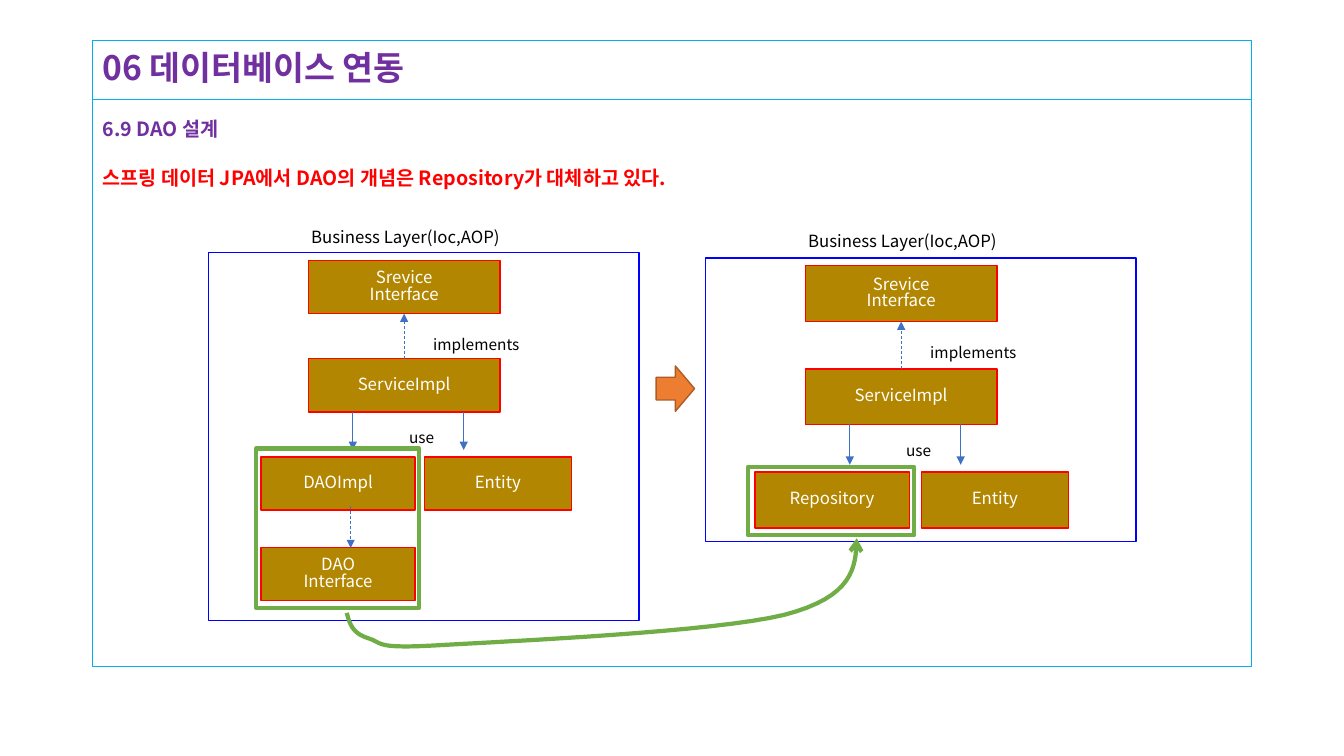
from pptx import Presentation
from pptx.dml.color import RGBColor
from pptx.enum.dml import MSO_LINE
from pptx.enum.shapes import MSO_CONNECTOR, MSO_SHAPE
from pptx.enum.text import MSO_ANCHOR, PP_ALIGN
from pptx.oxml.ns import qn
from pptx.util import Pt
from lxml import etree

RECT = MSO_SHAPE.RECTANGLE
ARROW = MSO_SHAPE.RIGHT_ARROW
LINE = MSO_CONNECTOR.STRAIGHT
DASH = MSO_LINE.DASH
MIDDLE = MSO_ANCHOR.MIDDLE
TOP = MSO_ANCHOR.TOP
LEFT = PP_ALIGN.LEFT
CENTER = PP_ALIGN.CENTER

CYAN = RGBColor(0x00, 0xB0, 0xF0)
PURPLE = RGBColor(0x70, 0x30, 0xA0)
RED = RGBColor(0xFF, 0x00, 0x00)
BLUE = RGBColor(0x00, 0x00, 0xFF)
GOLD = RGBColor(0xB2, 0x86, 0x00)
STEEL = RGBColor(0x41, 0x71, 0xC7)
ORANGE = RGBColor(0xED, 0x7D, 0x31)
BROWN = RGBColor(0xAF, 0x5C, 0x24)
GREEN = RGBColor(0x70, 0xAD, 0x47)
WHITE = RGBColor(0xFF, 0xFF, 0xFF)
BLACK = RGBColor(0x00, 0x00, 0x00)
FONT = "Noto Sans CJK KR"

deck = Presentation()
deck.slide_width, deck.slide_height = Pt(960), Pt(540)
slide = deck.slides.add_slide(deck.slide_layouts[6])
shapes = slide.shapes


def draw(x, y, w, h, edge, width, fill=None, kind=RECT):
    shape = shapes.add_shape(kind, Pt(x), Pt(y), Pt(w), Pt(h))
    shape.shadow.inherit = False
    if fill is None:
        shape.fill.background()
    else:
        shape.fill.solid()
        shape.fill.fore_color.rgb = fill
    shape.line.color.rgb = edge
    shape.line.width = Pt(width)
    return shape


def write(shape, lines, size, color, align=LEFT, anchor=TOP, space=1.0, bold=False):
    frame = shape.text_frame
    frame.word_wrap = True
    frame.vertical_anchor = anchor
    frame.text = lines
    for para in frame.paragraphs:
        para.alignment = align
        para.line_spacing = space
        para.font.name = FONT
        para.font.size = Pt(size)
        para.font.color.rgb = color
        para.font.bold = bold


title = draw(66.2, 28.8, 828, 42.5, CYAN, 0.75)
write(title, "06 데이터베이스 연동", 24, PURPLE, anchor=MIDDLE, space=0.9, bold=True)
body = draw(66.2, 71.3, 828, 404.6, CYAN, 0.75)
write(body, "6.9 DAO 설계\n스프링 데이터 JPA에서 DAO의 개념은 Repository가 대체하고 있다.",
      14, PURPLE, space=1.5, bold=True)
note = body.text_frame.paragraphs[1]
note.space_before = Pt(10)
note.font.color.rgb = RED

panels = [
    (504, 184.3, 202.3, 1.05, 35.3, "Repository"),
    (149, 180.5, 262.8, 1, 37.4, "DAOImpl"),
]
arrows = []
for left, top, tall, scale, inset, store in panels:
    draw(left, top, 307.4, tall, BLUE, 1)
    base = top + 5.5
    boxes = []
    for name, dx, row, wide in [
        ("Srevice\nInterface", 71.3, 0, 136.8),
        ("ServiceImpl", 71.3, 1, 136.8),
        (store, inset, 2, 110.2),
        ("Entity", 154.1, 2, 105.1),
    ]:
        box = draw(left + dx, base + 70.2 * row * scale, wide, 38 * scale, RED, 1, GOLD)
        write(box, name, 12, WHITE, CENTER, MIDDLE, 0.82)
        boxes.append(box)
    for name, dx, dy, wide, size in [
        ("Business Layer(Ioc,AOP)", 66.2, -27.4, 206.6, 12),
        ("implements", 153.4, 49.5, 80, 11),
        ("use", 136.1, 115.9, 80, 11),
    ]:
        label = shapes.add_textbox(Pt(left + dx), Pt(base + dy * scale), Pt(wide), Pt(20.6))
        write(label, name, size, BLACK)
    link = shapes.add_connector(LINE, 0, 0, 0, 0)
    link.begin_connect(boxes[1], 0)
    link.end_connect(boxes[0], 2)
    link.line.dash_style = DASH
    arrows.append(link)
    for dx in (103, 182.2):
        x = Pt(left + dx)
        arrows.append(shapes.add_connector(
            LINE, x, Pt(base + 108 * scale), x, Pt(base + 135.4 * scale)))

dao = draw(186.4, 391, 110.2, 38, RED, 1, GOLD)
write(dao, "DAO\nInterface", 12, WHITE, CENTER, MIDDLE, 0.82)
down = shapes.add_connector(LINE, Pt(250.5), Pt(361.5), Pt(250.5), Pt(391.5))
down.line.dash_style = DASH
arrows.append(down)

for arrow in arrows:
    arrow.line.color.rgb = STEEL
    arrow.line.width = Pt(0.5)
    etree.SubElement(arrow.line._get_or_add_ln(), qn("a:tailEnd"), type="triangle")
    etree.SubElement(arrow._element.spPr, qn("a:effectLst"))

draw(468.7, 261.4, 27.4, 32.4, BROWN, 1, ORANGE, ARROW)
draw(182.9, 320.4, 116.6, 113.8, GREEN, 3)
draw(534.2, 333.4, 118.8, 49, GREEN, 3)

start = (247.7, 437.8)
curves = [
    ((249.8, 445), (251.3, 452.2), (262.8, 455.8)),
    ((274.3, 459.4), (266.4, 463.7), (315.4, 460.8)),
    ((365, 457.9), (510.5, 451.4), (560.2, 439.2)),
    ((609.8, 426.2), (611.3, 405.4), (612, 384.5)),
]
points = []
pen = start
for one, two, end in curves:
    for step in range(1, 17):
        t = step / 16
        u = 1 - t
        points.append(tuple(
            Pt(u**3 * a + 3 * u * u * t * b + 3 * u * t * t * c + t**3 * d)
            for a, b, c, d in zip(pen, one, two, end)))
    pen = end
path = shapes.build_freeform(Pt(start[0]), Pt(start[1]))
path.add_line_segments(points, close=False)
sweep = path.convert_to_shape()
sweep.shadow.inherit = False
sweep.fill.background()
sweep.line.color.rgb = GREEN
sweep.line.width = Pt(3)
etree.SubElement(sweep.line._get_or_add_ln(), qn("a:tailEnd"), type="arrow")

deck.save("out.pptx")
